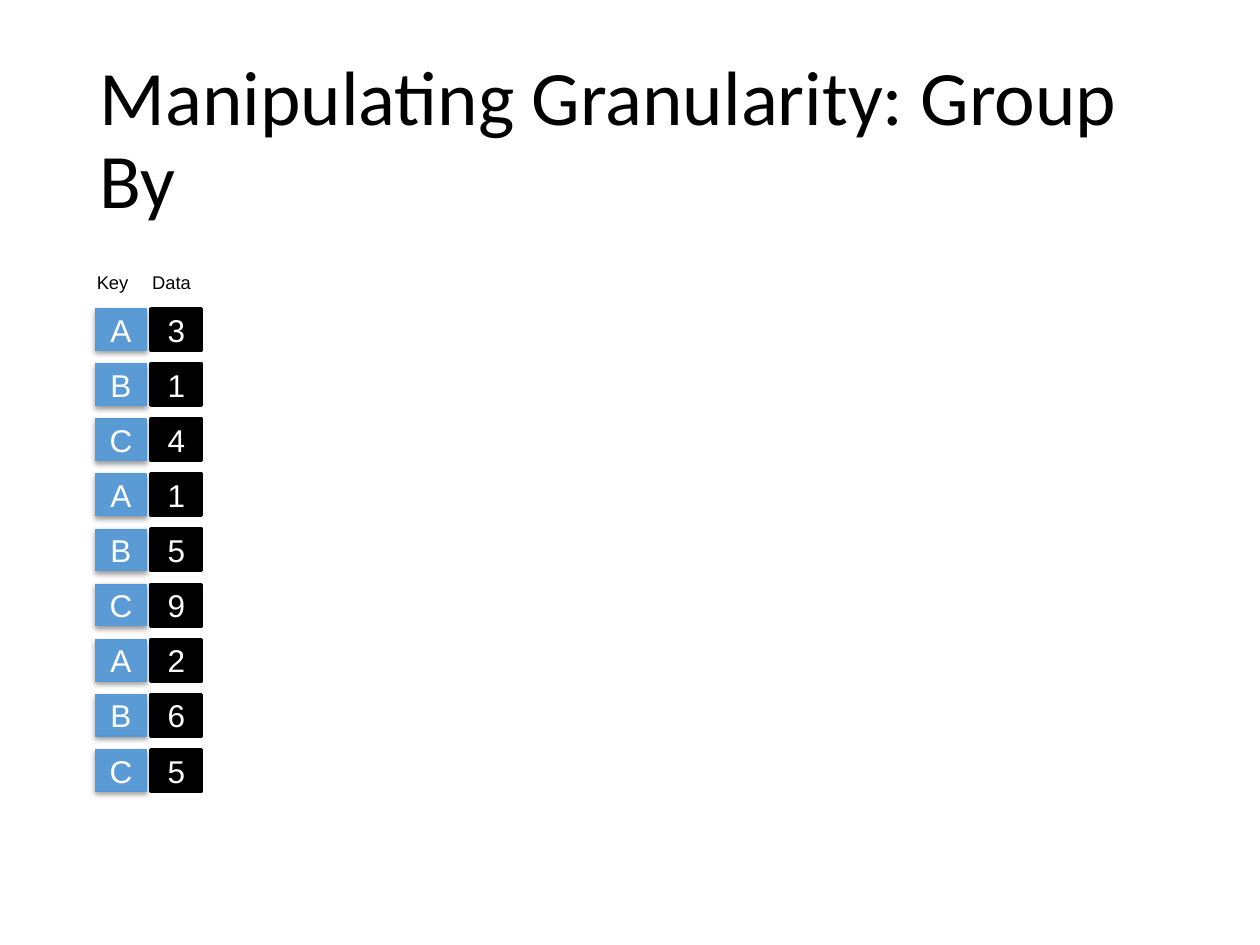
import pptx
import pptx.util
from lxml import etree
from pptx.dml.color import RGBColor
from pptx.enum.shapes import MSO_SHAPE
from pptx.enum.text import MSO_ANCHOR, MSO_AUTO_SIZE, PP_ALIGN
from pptx.oxml.ns import qn
from pptx.util import Inches

COLORS = {"key": "5B9BD5", "edge": "5698D3", "data": "000000",
          "text": "000000", "light": "FFFFFF"}
ROWS = [("A", 3), ("B", 1), ("C", 4), ("A", 1), ("B", 5),
        ("C", 9), ("A", 2), ("B", 6), ("C", 5)]
TOP, LAST = 2.45, 5.95
STEP = (LAST - TOP) / (len(ROWS) - 1)


def style(par, size, color, face="Arial"):
    par.font.size = pptx.util.Pt(size)
    par.font.name = face
    par.font.color.rgb = RGBColor.from_string(COLORS[color])


def add_cell(group, left, top, text, fill, edge, width):
    cell = group.shapes.add_shape(MSO_SHAPE.RECTANGLE, Inches(left), Inches(top),
                                  Inches(0.4), Inches(0.33))
    cell.shadow.inherit = False
    cell.fill.solid()
    cell.fill.fore_color.rgb = RGBColor.from_string(COLORS[fill])
    cell.line.color.rgb = RGBColor.from_string(COLORS[edge])
    cell.line.width = pptx.util.Pt(width)
    frame = cell.text_frame
    frame.vertical_anchor = MSO_ANCHOR.MIDDLE
    par = frame.paragraphs[0]
    par.text = text
    par.alignment = PP_ALIGN.CENTER
    style(par, 18, "light")
    return cell


prs = pptx.Presentation()
prs.slide_width, prs.slide_height = Inches(10), Inches(7.5)
slide = prs.slides.add_slide(prs.slide_layouts[5])

# Title
title = slide.shapes.title
title.left, title.top = Inches(0.69), Inches(0.4)
title.width, title.height = Inches(8.62), Inches(1.45)
frame = title.text_frame
frame.word_wrap = True
frame.auto_size = MSO_AUTO_SIZE.NONE
frame.vertical_anchor = MSO_ANCHOR.MIDDLE
par = frame.paragraphs[0]
par.text = "Manipulating Granularity: Group By"
par.alignment = PP_ALIGN.LEFT
par.line_spacing = 0.9
style(par, 44, "text", "Calibri")

# Column labels
for text, left, width in [("Key", 0.67, 0.46), ("Data", 1.11, 0.51)]:
    label = slide.shapes.add_textbox(Inches(left), Inches(2.1),
                                     Inches(width), Inches(0.28))
    label.text_frame.word_wrap = False
    label.text_frame.auto_size = MSO_AUTO_SIZE.SHAPE_TO_FIT_TEXT
    par = label.text_frame.paragraphs[0]
    par.text = text
    style(par, 10.5, "text")

# Key and data pairs, one group per row
for row, (key, value) in enumerate(ROWS):
    group = slide.shapes.add_group_shape()
    top = TOP + row * STEP
    cell = add_cell(group, 0.76, top, key, "key", "edge", 0.75)
    add_cell(group, 1.2, top, str(value), "data", "data", 2)

    # Soft shadow straight below the key
    effects = cell.element.spPr.find(qn("a:effectLst"))
    shadow = etree.SubElement(effects, qn("a:outerShdw"), dir="5400000",
                              blurRad=str(pptx.util.Pt(3.1)),
                              dist=str(pptx.util.Pt(1.6)), rotWithShape="0")
    tone = etree.SubElement(shadow, qn("a:srgbClr"), val=COLORS["data"])
    etree.SubElement(tone, qn("a:alpha"), val="38000")

prs.save("out.pptx")
